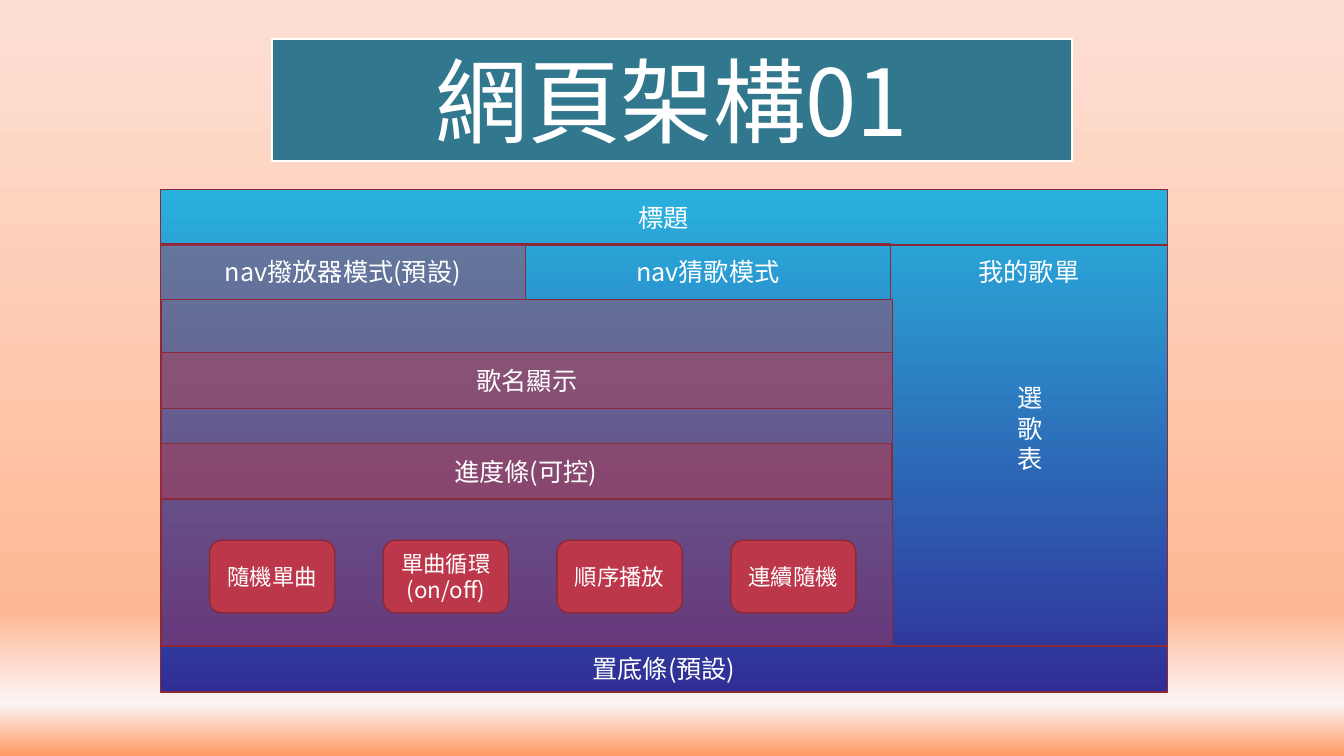
from lxml import etree
from pptx import Presentation
from pptx.dml.color import RGBColor
from pptx.enum.shapes import MSO_SHAPE
from pptx.enum.text import MSO_ANCHOR, MSO_AUTO_SIZE, PP_ALIGN
from pptx.oxml.ns import qn
from pptx.util import Inches, Pt

RECTANGLE, ROUNDED = MSO_SHAPE.RECTANGLE, MSO_SHAPE.ROUNDED_RECTANGLE
TOP, MIDDLE = MSO_ANCHOR.TOP, MSO_ANCHOR.MIDDLE
CENTER = PP_ALIGN.CENTER
FIT_SHAPE = MSO_AUTO_SIZE.SHAPE_TO_FIT_TEXT

FONT = "Noto Sans CJK SC"
WHITE = RGBColor(0xFF, 0xFF, 0xFF)
TEAL = RGBColor(0x31, 0x77, 0x8E)
RED = RGBColor(0xBD, 0x37, 0x4A)
DARK_RED = RGBColor(0x8C, 0x29, 0x37)
SKY = RGBColor(0x29, 0xB1, 0xDE)
INDIGO = RGBColor(0x30, 0x2E, 0x96)
PEACH_STOPS = [
    (2, RGBColor(0xFD, 0xDF, 0xD3)),
    (81, RGBColor(0xFE, 0xB8, 0x94)),
    (93, RGBColor(0xFC, 0xF5, 0xF6)),
    (100, RGBColor(0xFF, 0x99, 0x63)),
]
PAGE_STOPS = [(0, SKY), (100, INDIGO)]

TITLE = "網頁架構01"
HEADER = "標題"
PLAYER_TAB, GUESS_TAB = "nav撥放器模式(預設)", "nav猜歌模式"
SONG_NAME, PROGRESS = "歌名顯示", "進度條(可控)"
BUTTONS = ["隨機單曲", "單曲循環(on/off)", "順序播放", "連續隨機"]
PLAYLIST, SONG_PICKER = "我的歌單", "選歌表"
FOOTER = "置底條(預設)"

# Page frame, in inches
LEFT, PAGE_TOP, WIDTH, HEIGHT = 1.59, 1.88, 9.99, 4.99
ROW = 0.55
TAB_TOP = 2.42
TAB_WIDTH = 3.62
PLAYER_LEFT, PLAYER_WIDTH = 1.6, 7.25
PLAYER_TOP, FOOTER_TOP = 2.97, 6.41
SIDEBAR_LEFT = 8.84
BUTTON_LEFT, BUTTON_STEP = 2.08, 1.723

presentation = Presentation()
presentation.slide_width, presentation.slide_height = Inches(13.33), Inches(7.5)
slide = presentation.slides.add_slide(presentation.slide_layouts[6])


def fill_gradient(fill, owner, stops):
    """Fill from top to bottom with any number of (percent, colour) stops."""
    fill.gradient()
    fill.gradient_angle = 270
    stop_list = owner.element.find(".//" + qn("a:gsLst"))
    for old_stop in list(stop_list):
        stop_list.remove(old_stop)
    for percent, color in stops:
        stop = etree.SubElement(stop_list, qn("a:gs"), pos=str(percent * 1000))
        etree.SubElement(stop, qn("a:srgbClr"), val=str(color))


def write(shape, text, size=18, anchor=MIDDLE):
    frame = shape.text_frame
    frame.word_wrap = True
    frame.vertical_anchor = anchor
    paragraph = frame.paragraphs[0]
    paragraph.alignment = CENTER
    run = paragraph.add_run()
    run.text = text
    for name, value in {"size": Pt(size), "name": FONT}.items():
        setattr(run.font, name, value)
    run.font.color.rgb = WHITE
    latin = run.font._element.find(qn("a:latin"))
    latin.addnext(latin.makeelement(qn("a:ea"), {"typeface": FONT}))


def add_box(box, text="", fill=None, alpha=None, line=DARK_RED, line_width=1,
            kind=RECTANGLE, **text_format):
    shape = slide.shapes.add_shape(kind, *map(Inches, box))
    shape.shadow.inherit = False
    shape.line.color.rgb = line
    shape.line.width = Pt(line_width)
    if fill is None:
        shape.fill.background()
    else:
        shape.fill.solid()
        shape.fill.fore_color.rgb = fill
    if alpha is not None:
        color = shape.element.spPr.find(qn("a:solidFill"))[0]
        etree.SubElement(color, qn("a:alpha"), val=str(alpha * 1000))
    if text:
        write(shape, text, **text_format)
    return shape


def add_label(box, text):
    write(slide.shapes.add_textbox(*map(Inches, box)), text)


fill_gradient(slide.background.fill, slide, PEACH_STOPS)

title = add_box((2.7, 0.39, 7.93, 1.21), TITLE, TEAL, line=WHITE,
                line_width=1.5, size=66, anchor=TOP)
title.text_frame.auto_size = FIT_SHAPE

page = add_box((LEFT, PAGE_TOP, WIDTH, HEIGHT))
fill_gradient(page.fill, page, PAGE_STOPS)

add_box((LEFT, PAGE_TOP, WIDTH, ROW), HEADER)
add_box((LEFT, TAB_TOP, TAB_WIDTH, ROW), PLAYER_TAB, RED, 40)
add_box((LEFT + TAB_WIDTH, TAB_TOP, TAB_WIDTH, ROW), GUESS_TAB)
add_box((PLAYER_LEFT, PLAYER_TOP, PLAYER_WIDTH, FOOTER_TOP - PLAYER_TOP),
        fill=RED, alpha=40)
add_box((LEFT, FOOTER_TOP, WIDTH, 0.45), FOOTER)
add_label((SIDEBAR_LEFT, TAB_TOP, 2.73, ROW), PLAYLIST)
add_box((LEFT, 4.4, PLAYER_WIDTH, ROW), PROGRESS, RED, 40)
for index, caption in enumerate(BUTTONS):
    add_box((BUTTON_LEFT + index * BUTTON_STEP, 5.36, 1.24, 0.72), caption, RED,
            kind=ROUNDED, size=16)
add_box((PLAYER_LEFT, 3.5, PLAYER_WIDTH, ROW), SONG_NAME, RED, 40)
add_label((9.99, 3.97, 0.42, ROW), SONG_PICKER)

presentation.save("out.pptx")
